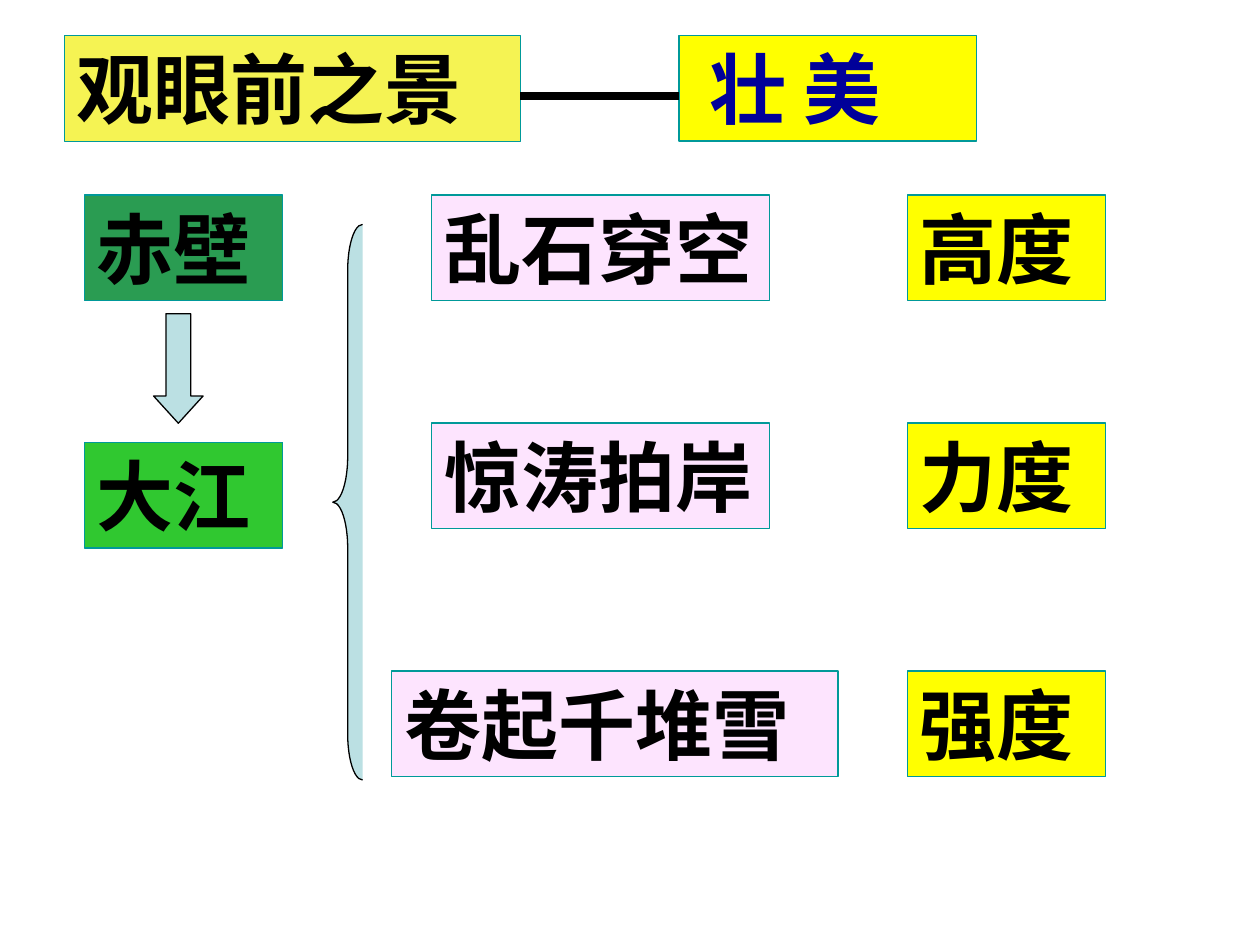
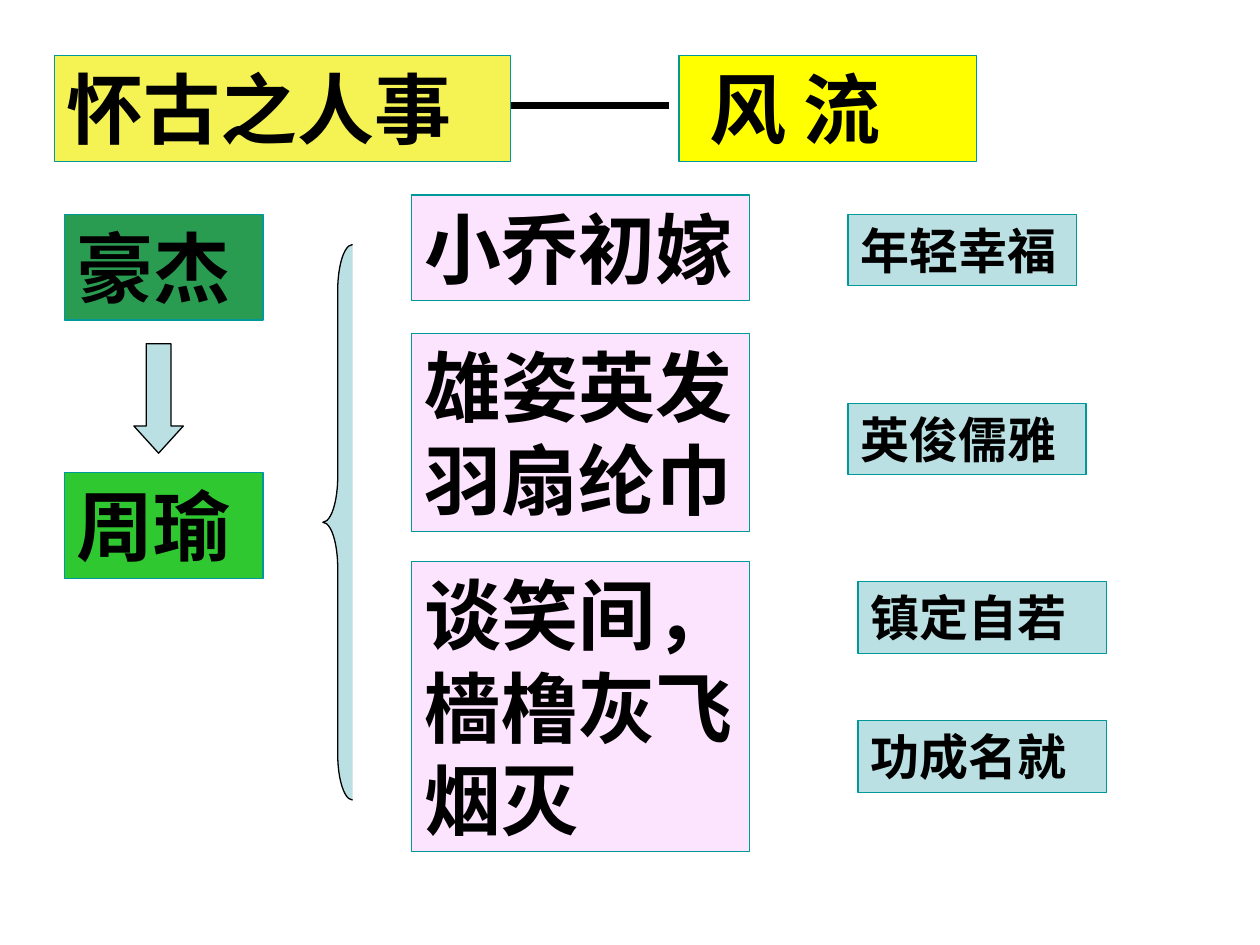
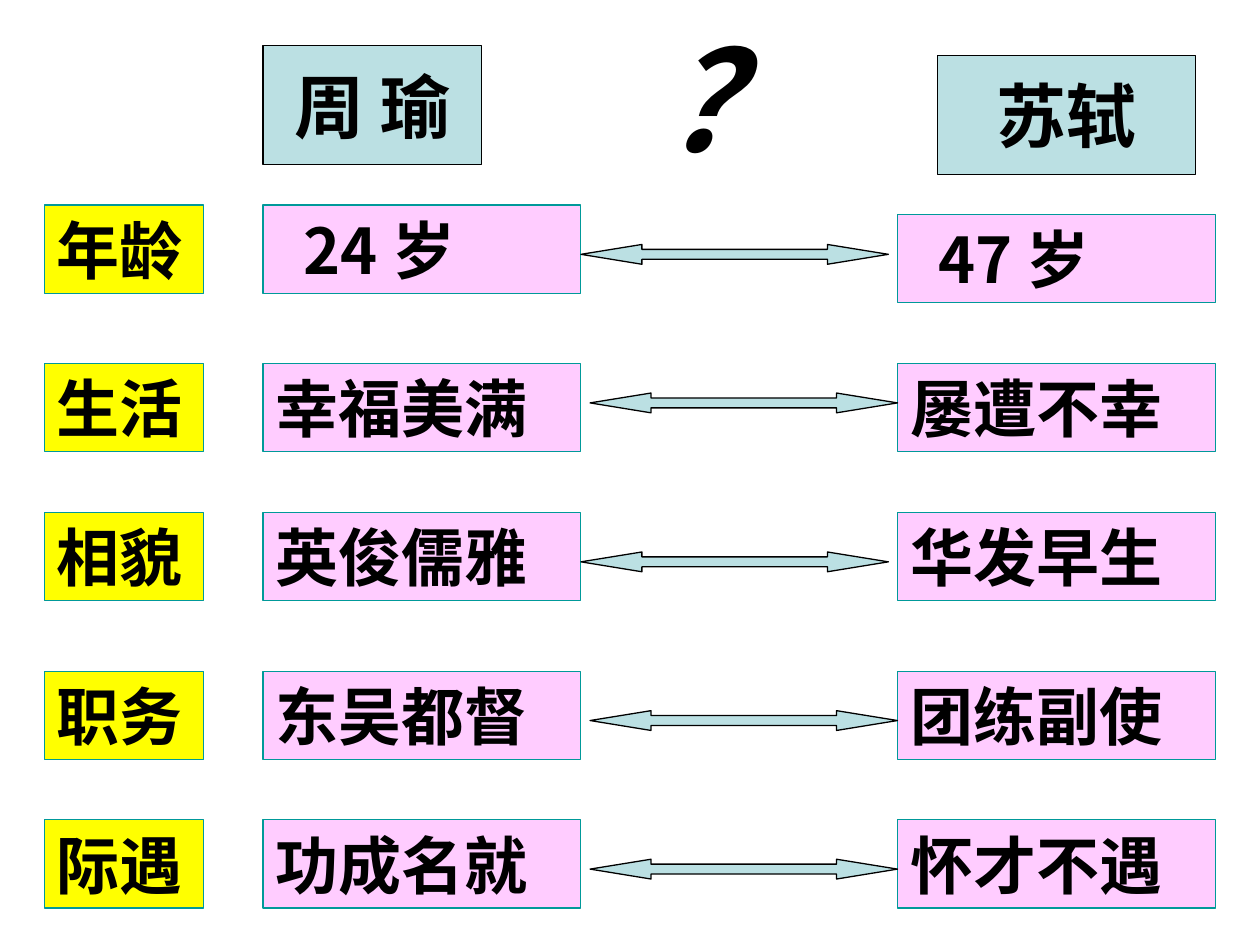
import pptx
import pptx.dml.color
import pptx.enum.shapes
import pptx.enum.text
import pptx.oxml.ns
import pptx.util
from lxml import etree

Pt = pptx.util.Pt
SHAPE = pptx.enum.shapes.MSO_SHAPE
ALIGN = pptx.enum.text.PP_ALIGN
ANCHOR = pptx.enum.text.MSO_ANCHOR

COLOURS = {
    "black": "000000",
    "navy": "000099",
    "teal": "009999",
    "pale blue": "BBE0E3",
    "straw": "F5F353",
    "yellow": "FFFF00",
    "dark green": "2A9C52",
    "green": "30C830",
    "pale pink": "FDE4FE",
    "pink": "FFCCFF",
}
CJK_FONT = "Noto Sans CJK SC"
TITLE_LAYOUT, BLANK_LAYOUT = 5, 6
BIG, MEDIUM, SMALL = 44, 36, 28
BIG_HEIGHT, MEDIUM_HEIGHT, SMALL_HEIGHT = 60.5, 50.4, 41
LINE_FACTOR = 1.2
INSET_X, INSET_Y = 7.2, 3.6


def rgb(name):
    return pptx.dml.color.RGBColor.from_string(COLOURS[name])


def paint(shape, fill, line):
    shape.fill.solid()
    shape.fill.fore_color.rgb = rgb(fill)
    shape.line.color.rgb = rgb(line)
    shape.line.width = Pt(0.75)


def write(shape, text, size, colour="black", font=CJK_FONT, align=ALIGN.LEFT,
          anchor=ANCHOR.TOP, indent=0, italic=False):
    """Fill the shape with bold text; indent moves the text right."""
    frame = shape.text_frame
    frame.text = text
    frame.word_wrap = True
    frame.auto_size = pptx.enum.text.MSO_AUTO_SIZE.NONE
    frame.vertical_anchor = anchor
    frame.margin_left = Pt(INSET_X + indent)
    frame.margin_right = Pt(INSET_X)
    frame.margin_top = frame.margin_bottom = Pt(INSET_Y)
    for para in frame.paragraphs:
        para.alignment = align
        para.line_spacing = Pt(size * LINE_FACTOR)
        for span in para.runs:
            span.font.name = font
            span.font.size = Pt(size)
            span.font.bold = True
            span.font.italic = italic
            span.font.color.rgb = rgb(colour)
            east_asian = etree.SubElement(span.font._element, pptx.oxml.ns.qn("a:ea"))
            east_asian.set("typeface", CJK_FONT)


def add_preset(page, kind, left, top, width, height, fill, line="black", adjust=()):
    shape = page.shapes.add_shape(kind, Pt(left), Pt(top), Pt(width), Pt(height))
    shape.shadow.inherit = False
    for index, value in enumerate(adjust):
        shape.adjustments[index] = value
    paint(shape, fill, line)
    return shape


def add_label(page, text, left, top, width, fill, size=BIG, height=BIG_HEIGHT, **style):
    box = add_preset(page, SHAPE.RECTANGLE, left, top, width, height, fill, "teal")
    write(box, text, size, **style)


def add_title(page, text, left, top):
    title = page.shapes.title
    title.left, title.top = Pt(left), Pt(top)
    title.width, title.height = Pt(260.6), Pt(BIG_HEIGHT)
    paint(title, "straw", "teal")
    write(title, text, BIG)


def add_rule(page, left, right, y):
    rule = page.shapes.add_connector(
        pptx.enum.shapes.MSO_CONNECTOR.STRAIGHT, Pt(left), Pt(y), Pt(right), Pt(y))
    rule.line.color.rgb = rgb("black")
    rule.line.width = Pt(4.5)
    etree.SubElement(rule._element.spPr, pptx.oxml.ns.qn("a:effectLst"))


def add_mood(page, text, top, colour="black"):
    add_label(page, text, 388, top, 170, "yellow", colour=colour, indent=10)


def add_subject_column(page, subject, focus, left, subject_top, arrow_top, focus_top):
    """Two green labels, the first leading down to the second."""
    add_label(page, subject, left, subject_top, 113.4, "dark green")
    add_preset(page, SHAPE.DOWN_ARROW, left + 39.6, arrow_top, 28.3, 62.6,
               "pale blue", adjust=(0.5, 0.55))
    add_label(page, focus, left, focus_top, 113.4, "green")


def add_brace(page, left, top):
    add_preset(page, SHAPE.LEFT_BRACE, left, top, 17, 317.5, "pale blue",
               adjust=(1.54, 0.5))


def build_scenery(page):
    add_title(page, "观眼前之景", 36.7, 20.2)
    add_subject_column(page, "赤壁", "大江", 48.2, 111.4, 179.3, 252.7)
    add_brace(page, 190.2, 128.2)
    rows = [
        ("乱石穿空", "高度", 111.4, 246.7, 193),
        ("惊涛拍岸", "力度", 241.7, 246.7, 193),
        ("卷起千堆雪", "强度", 383.4, 223.9, 255),
    ]
    for phrase, quality, top, left, width in rows:
        add_label(page, phrase, left, top, width, "pale pink")
        add_label(page, quality, 518.4, top, 113.5, "yellow")
    add_mood(page, "壮 美", 20.2, "navy")
    add_rule(page, 297.4, 388, 54.7)


def build_history(page):
    add_title(page, "怀古之人事", 31, 31.7)
    add_rule(page, 292.3, 382.3, 60.3)
    add_mood(page, "风 流", 31.7)
    add_subject_column(page, "豪杰", "周瑜", 36.9, 122.4, 196.4, 270)
    add_brace(page, 184.5, 139.7)
    phrases = [
        ("小乔初嫁", 111.4, BIG_HEIGHT),
        ("雄姿英发\n羽扇纶巾", 190.6, 113),
        ("谈笑间，樯橹灰飞烟灭", 321, 165.7),
    ]
    for phrase, top, height in phrases:
        add_label(page, phrase, 235.3, top, 193, "pale pink", height=height)
    qualities = [
        ("年轻幸福", 484.6, 122.4, 130.4),
        ("英俊儒雅", 484.6, 230.4, 136),
        ("镇定自若", 490.3, 332.4, 142),
        ("功成名就", 490.3, 411.8, 142),
    ]
    for quality, left, top, width in qualities:
        add_label(page, quality, left, top, width, "pale blue", SMALL, SMALL_HEIGHT)


def build_comparison(page):
    for name, left, top, width in [("周 瑜", 150.3, 26.2, 124.7),
                                   ("苏轼", 535.6, 31.7, 147.5)]:
        heading = add_preset(page, SHAPE.FLOWCHART_PROCESS, left, top, width, 68,
                             "pale blue")
        write(heading, name, 40, font="Arial", align=ALIGN.CENTER, anchor=ANCHOR.MIDDLE)

    question = page.shapes.add_textbox(Pt(371.5), Pt(3.6), Pt(79.2), Pt(103.7))
    write(question, "？", 80, italic=True)

    near, far = 332, 337.2
    rows = [
        ("年龄", "24 岁", "47 岁", 117.2, near, 139.7),
        ("生活", "幸福美满", "屡遭不幸", 207.7, far, 224.6),
        ("相貌", "英俊儒雅", "华发早生", 293, near, 315.4),
        ("职务", "东吴都督", "团练副使", 383.6, far, 406.1),
        ("际遇", "功成名就", "怀才不遇", 468.5, far, 491),
    ]
    for index, (aspect, general, poet, top, arrow_left, arrow_top) in enumerate(rows):
        is_age = index == 0
        indent = 16 if is_age else 0
        poet_top = top + 5.4 if is_age else top
        add_label(page, aspect, 25.4, top, 91, "yellow", MEDIUM, MEDIUM_HEIGHT)
        add_label(page, general, 150.3, top, 181.5, "pink", MEDIUM, MEDIUM_HEIGHT,
                  indent=indent)
        add_label(page, poet, 513, poet_top, 181.5, "pink", MEDIUM, MEDIUM_HEIGHT,
                  indent=indent)
        add_preset(page, SHAPE.LEFT_RIGHT_ARROW, arrow_left, arrow_top, 175.7, 11.3,
                   "pale blue", adjust=(0.5, 3.08))


def main():
    deck = pptx.Presentation()
    deck.slide_width, deck.slide_height = Pt(720), Pt(540)
    for layout, build in [(TITLE_LAYOUT, build_scenery),
                          (TITLE_LAYOUT, build_history),
                          (BLANK_LAYOUT, build_comparison)]:
        build(deck.slides.add_slide(deck.slide_layouts[layout]))
    deck.save("out.pptx")


if __name__ == "__main__":
    main()
